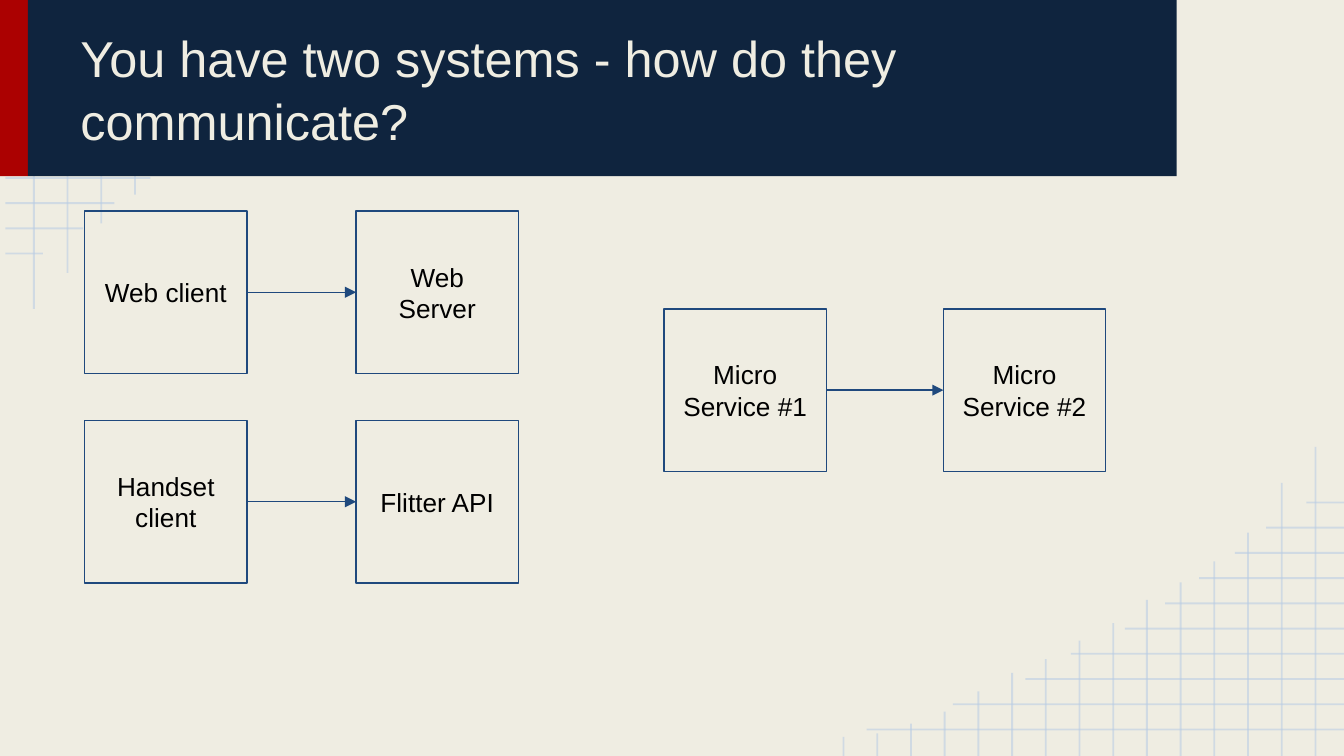
from lxml import etree
from pptx import Presentation
from pptx.dml.color import RGBColor
from pptx.enum.shapes import MSO_CONNECTOR, MSO_SHAPE
from pptx.enum.text import MSO_ANCHOR, MSO_AUTO_SIZE, PP_ALIGN
from pptx.oxml.ns import qn
from pptx.util import Cm, Pt

RECTANGLE = MSO_SHAPE.RECTANGLE
STRAIGHT = MSO_CONNECTOR.STRAIGHT
MIDDLE, BOTTOM = MSO_ANCHOR.MIDDLE, MSO_ANCHOR.BOTTOM
LEFT, CENTER = PP_ALIGN.LEFT, PP_ALIGN.CENTER
NO_AUTOFIT = MSO_AUTO_SIZE.NONE
LEFT_SIDE, RIGHT_SIDE = 1, 3

FONT = "Arial"
CREAM, NAVY, RED = "EFEDE2", "0F243E", "AB0101"
BLUE, GRID_BLUE, BLACK = "1F497D", "B7CCE4", "000000"

SLIDE_WIDTH, SLIDE_HEIGHT = 25.4, 14.29
BOX_SIDE = 3.07
GRID_EDGE = 0.1
COLUMN_GAP, ROW_GAP = 0.637, 0.477
ROW_ENDS = [9.12, 7.49, 6.12, 5.26, 4.24, 3.48, 2.84, 2.16, 1.57, 0.81]
COLUMN_ENDS = [5.84, 5.16, 4.22, 3.68, 3.28, 2.95, 2.51, 2.18,
               1.83, 1.57, 1.22, 0.84, 0.61, 0.43, 0.36]
SYSTEM_PAIRS = [
    (1.6, 6.73, 3.99, "Web client", "Web Server"),
    (1.6, 6.73, 7.95, "Handset client", "Flitter API"),
    (12.55, 17.83, 5.84, "Micro\nService #1", "Micro\nService #2"),
]


def color(value):
    """Return the colour for a hex string."""
    return RGBColor.from_string(value)


def write_text(shape, text, size=14, font_color=BLACK, align=CENTER,
               anchor=MIDDLE, inset=0.25, spacing=1.0):
    """Write text into a shape, one paragraph per line."""
    frame = shape.text_frame
    frame.text = text
    frame.word_wrap = True
    frame.auto_size = NO_AUTOFIT
    frame.vertical_anchor = anchor
    frame.margin_left = frame.margin_right = Cm(inset)
    frame.margin_top = frame.margin_bottom = Cm(0.25)
    for paragraph in frame.paragraphs:
        paragraph.alignment = align
        paragraph.line_spacing = spacing
        font = paragraph.runs[0].font
        font.name, font.size = FONT, Pt(size)
        font.color.rgb = color(font_color)


def add_rectangle(slide, left, top, width, height, fill=None, line=None):
    """Add a rectangle with an optional fill and outline."""
    shape = slide.shapes.add_shape(RECTANGLE, Cm(left), Cm(top), Cm(width), Cm(height))
    shape.shadow.inherit = False
    if fill:
        shape.fill.solid()
        shape.fill.fore_color.rgb = color(fill)
    else:
        shape.fill.background()
    if line:
        shape.line.color.rgb = color(line)
        shape.line.width = Pt(0.75)
    else:
        shape.line.fill.background()
    return shape


def add_line(slide, start, end, line_color, width):
    """Add a straight connector without a shadow."""
    connector = slide.shapes.add_connector(STRAIGHT, *(Cm(value) for value in start + end))
    connector.line.color.rgb = color(line_color)
    connector.line.width = Pt(width)
    etree.SubElement(connector._element.spPr, qn("a:effectLst"))
    return connector


def add_grid_line(slide, start, end):
    """Add a translucent grid line."""
    connector = add_line(slide, start, end, GRID_BLUE, 1)
    fill_color = connector._element.spPr.find(".//" + qn("a:srgbClr"))
    etree.SubElement(fill_color, qn("a:alpha"), val="54000")


def add_grid(slide, place):
    """Add a fading corner grid, with each point mapped by place."""
    for index, end in enumerate(ROW_ENDS):
        y = 0.5 + index * ROW_GAP
        add_grid_line(slide, place(GRID_EDGE, y), place(end, y))
    for index, end in enumerate(COLUMN_ENDS):
        x = 0.64 + index * COLUMN_GAP
        add_grid_line(slide, place(x, end), place(x, 0))


def add_arrow(slide, source, target):
    """Join two boxes with an arrow."""
    connector = add_line(slide, (0, 0), (1, 1), BLUE, 0.75)
    connector.begin_connect(source, RIGHT_SIDE)
    connector.end_connect(target, LEFT_SIDE)
    etree.SubElement(connector.line._get_or_add_ln(), qn("a:tailEnd"), type="triangle")


def add_box(slide, left, top, text):
    """Add a labelled square for one system."""
    box = add_rectangle(slide, left, top, BOX_SIDE, BOX_SIDE, line=BLUE)
    write_text(box, text, inset=0.3)
    return box


def add_title(slide, text):
    """Place the title in front of its band."""
    title = slide.shapes.title
    title.left, title.top, title.width, title.height = Cm(1.27), Cm(0.28), Cm(20.32), Cm(2.82)
    write_text(title, text, size=27, font_color=CREAM, align=LEFT, anchor=BOTTOM, spacing=1.05)
    slide.shapes._spTree.append(title._element)


def main():
    """Build and save the presentation."""
    presentation = Presentation()
    presentation.slide_width, presentation.slide_height = Cm(SLIDE_WIDTH), Cm(SLIDE_HEIGHT)
    slide = presentation.slides.add_slide(presentation.slide_layouts[5])
    slide.background.fill.solid()
    slide.background.fill.fore_color.rgb = color(CREAM)

    add_grid(slide, lambda x, y: (x, y))
    add_grid(slide, lambda x, y: (SLIDE_WIDTH + GRID_EDGE - x, SLIDE_HEIGHT - y))
    add_rectangle(slide, 0, -0.02, 0.53, 3.35, fill=RED)
    add_rectangle(slide, 0.53, -0.02, 21.71, 3.35, fill=NAVY)
    add_title(slide, "You have two systems - how do they communicate?")

    for source_left, target_left, top, source_text, target_text in SYSTEM_PAIRS:
        source = add_box(slide, source_left, top, source_text)
        target = add_box(slide, target_left, top, target_text)
        add_arrow(slide, source, target)
    presentation.save("out.pptx")


if __name__ == "__main__":
    main()
